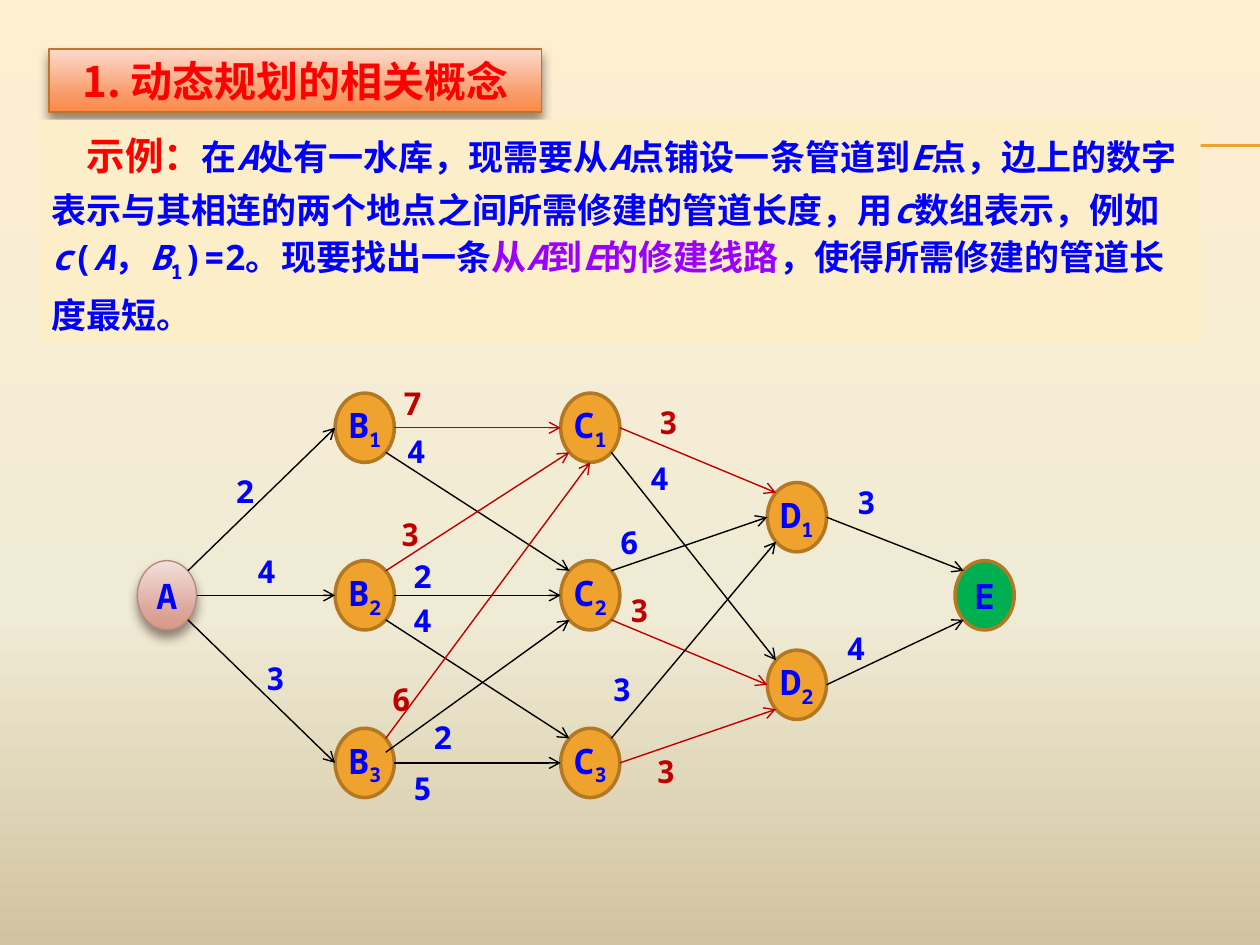
from math import sqrt

from lxml.etree import SubElement
from pptx import Presentation
from pptx.dml.color import RGBColor
from pptx.enum.shapes import MSO_CONNECTOR, MSO_SHAPE
from pptx.enum.text import MSO_ANCHOR, MSO_AUTO_SIZE, PP_ALIGN
from pptx.oxml.ns import qn
from pptx.util import Emu, Pt

SCALE = 9144  # EMU per px, 100 px to the inch

BLACK = RGBColor(0x00, 0x00, 0x00)
BLUE = RGBColor(0x00, 0x00, 0xFF)
RED = RGBColor(0xFF, 0x00, 0x00)
DARK_RED = RGBColor(0xC0, 0x00, 0x00)
PURPLE = RGBColor(0x99, 0x00, 0xFF)
ORANGE = RGBColor(0xF0, 0xA2, 0x2E)
BROWN = RGBColor(0xB2, 0x78, 0x22)
RUST = RGBColor(0xC1, 0x75, 0x29)
ROSE = RGBColor(0xB5, 0x8B, 0x80)
GREEN = RGBColor(0x00, 0xB0, 0x50)
CREAM = RGBColor(0xFB, 0xEE, 0xC9)
SHADOW = RGBColor(0x4E, 0x3B, 0x30)

PAGE_STOPS = [(0, "FFEFD1"), (65, "F0EBD5"), (100, "D1C39F")]
TITLE_STOPS = [(0, "FDDBCC"), (72, "F89B69"), (100, "FC8A43")]
START_STOPS = [(0, "F3E0DB"), (72, "DCA79B"), (100, "D89787")]

NODE_W, NODE_H = 47, 55
COLUMNS = {"A": 109, "B": 266, "C": 445, "D": 609, "E": 758}
ROWS = {"A": [445], "B": [312, 445, 578], "C": [312, 445, 578],
        "D": [383, 516], "E": [445]}
DIAGONAL = sqrt(0.5)
PORTS = {"E": (1, 0), "W": (-1, 0), "S": (0, 1),
         "NE": (DIAGONAL, -DIAGONAL), "NW": (-DIAGONAL, -DIAGONAL),
         "SE": (DIAGONAL, DIAGONAL), "SW": (-DIAGONAL, DIAGONAL)}

# from, port, to, port, length, label left, label top, colour
EDGES = [
    ("A", "NE", "B1", "W", 2, 187, 375, BLUE),
    ("A", "E", "B2", "W", 4, 204, 438, BLUE),
    ("A", "SE", "B3", "W", 3, 211, 523, BLUE),
    ("B1", "E", "C1", "W", 7, 320, 305, DARK_RED),
    ("B1", "SE", "C2", "NW", 4, 323, 343, BLUE),
    ("B2", "NE", "C1", "SW", 3, 318, 409, DARK_RED),
    ("B2", "E", "C2", "W", 2, 328, 442, BLUE),
    ("B2", "SE", "C3", "NW", 4, 328, 477, BLUE),
    ("B3", "NE", "C1", "S", 6, 311, 540, DARK_RED),
    ("B3", "NE", "C2", "SW", 2, 344, 570, BLUE),
    ("B3", "E", "C3", "W", 5, 328, 610, BLUE),
    ("C1", "E", "D1", "NW", 3, 523, 320, DARK_RED),
    ("C1", "SE", "D2", "NW", 4, 516, 364, BLUE),
    ("C2", "NE", "D1", "W", 6, 492, 415, BLUE),
    ("C2", "SE", "D2", "W", 3, 500, 469, DARK_RED),
    ("C3", "NE", "D1", "SW", 3, 486, 532, BLUE),
    ("C3", "E", "D2", "SW", 3, 521, 597, DARK_RED),
    ("D1", "E", "E", "NW", 3, 680, 383, BLUE),
    ("D2", "E", "E", "SW", 4, 672, 499, BLUE),
]
START_DROP = {("B3", "C2"): 11}  # keeps two arrows from sharing a start

# *...* is italic, _..._ is subscript
EXAMPLE = [
    ("示例：", RED, 22),
    ("在*A*处有一水库，现需要从*A*点铺设一条管道到*E*点，边上的数字表示与其相连的"
     "两个地点之间所需修建的管道长度，用*c*数组表示，例如*c*(*A*，*B*_1_)=2。"
     "现要找出一条", BLUE, 20),
    ("从*A*到*E*的修建线路", PURPLE, 20),
    ("，使得所需修建的管道长度最短。", BLUE, 20),
]


def px(length):
    return Emu(round(length * SCALE))


class Slide:
    latin = "Noto Sans Mono"
    asian = "Noto Sans CJK SC"

    def __init__(self, deck):
        self.page = deck.slides.add_slide(deck.slide_layouts[6])

    def gradient(self, fill, owner, stops):
        fill.gradient()
        fill.gradient_angle = 270
        stop_list = next(owner.iter(qn("a:gsLst")))
        for stop in list(stop_list):
            stop_list.remove(stop)
        for position, colour in stops:
            stop = SubElement(stop_list, qn("a:gs"), pos=str(position * 1000))
            SubElement(stop, qn("a:srgbClr"), val=colour)

    def background(self, stops):
        self.gradient(self.page.background.fill, self.page.element, stops)

    def shape(self, kind, left, top, width, height, fill, line=None, weight=0.79):
        """A list as fill means a gradient, drawn with a soft shadow."""
        box = self.page.shapes.add_shape(kind, px(left), px(top), px(width), px(height))
        box.shadow.inherit = False
        if isinstance(fill, list):
            self.gradient(box.fill, box.element, fill)
            self.soft_shadow(box)
        else:
            box.fill.solid()
            box.fill.fore_color.rgb = fill
        if line is None:
            box.line.fill.background()
        else:
            box.line.color.rgb = line
            box.line.width = Pt(weight)
        return box

    def soft_shadow(self, box):
        effects = next(box.element.iter(qn("a:effectLst")))
        shadow = SubElement(effects, qn("a:outerShdw"), blurRad=str(Pt(6)),
                            dist=str(Pt(4)), dir="5400000", rotWithShape="0")
        colour = SubElement(shadow, qn("a:srgbClr"), val=str(SHADOW))
        SubElement(colour, qn("a:alpha"), val="60000")

    def paragraph(self, box, size, colour, align=PP_ALIGN.CENTER, latin=None):
        para = box.text_frame.paragraphs[0]
        para.alignment = align
        para.font.size = Pt(size)
        para.font.bold = True
        para.font.color.rgb = colour
        para.font.name = latin or self.latin
        properties = para._p.pPr.find(qn("a:defRPr"))
        SubElement(properties, qn("a:ea"), typeface=self.asian)
        return para

    def add_spans(self, para, text, colour, size):
        for i, piece in enumerate(text.split("*")):
            for j, part in enumerate(piece.split("_")):
                if not part:
                    continue
                span = para.add_run()
                span.text = part
                span.font.size = Pt(size)
                span.font.color.rgb = colour
                if i % 2:
                    span.font.italic = True
                if j % 2:
                    span.font._element.set("baseline", "-25000")

    def node(self, name, left, top, fill, line, weight):
        box = self.shape(MSO_SHAPE.OVAL, left, top, NODE_W, NODE_H, fill, line, weight)
        frame = box.text_frame
        frame.margin_left = frame.margin_right = 0
        frame.vertical_anchor = MSO_ANCHOR.MIDDLE
        letter, number = name[0], name[1:]
        self.add_spans(self.paragraph(box, 20, BLUE), f"{letter}_{number}_", BLUE, 20)

    def line(self, start, end, colour, weight=0.79, arrow=False):
        line = self.page.shapes.add_connector(
            MSO_CONNECTOR.STRAIGHT, *map(px, start), *map(px, end))
        line.line.color.rgb = colour
        line.line.width = Pt(weight)
        if arrow:
            SubElement(line.line._get_or_add_ln(), qn("a:tailEnd"), type="arrow")
        SubElement(line.element.spPr, qn("a:effectLst"))

    def label(self, text, left, top, colour):
        box = self.page.shapes.add_textbox(px(left), px(top), px(23), px(30))
        frame = box.text_frame
        frame.word_wrap = True
        frame.margin_left = frame.margin_right = frame.margin_top = frame.margin_bottom = 0
        self.paragraph(box, 18, colour, PP_ALIGN.LEFT).add_run().text = text


def main():
    deck = Presentation()
    deck.slide_width, deck.slide_height = px(1000), px(750)
    slide = Slide(deck)
    slide.background(PAGE_STOPS)

    # Double rule and title
    for y in (115, 116):
        slide.line((56, y), (1000, y), ORANGE, 0.75)
    title = slide.shape(MSO_SHAPE.RECTANGLE, 39, 39, 391, 50, TITLE_STOPS, RUST)
    title.text_frame.vertical_anchor = MSO_ANCHOR.TOP
    para = slide.paragraph(title, 24, RED, latin=slide.asian)
    para.add_run().text = "1. 动态规划的相关概念"

    # Nodes of the pipeline network
    looks = {"A": (START_STOPS, ROSE, 0.79), "E": (GREEN, BROWN, 2)}
    centres = {}
    for letter, left in COLUMNS.items():
        for number, top in enumerate(ROWS[letter], 1):
            name = letter if len(ROWS[letter]) == 1 else f"{letter}{number}"
            slide.node(name, left, top, *looks.get(letter, (ORANGE, BROWN, 2)))
            centres[name] = (left + NODE_W / 2, top + NODE_H / 2)

    def port(name, side):
        (x, y), (dx, dy) = centres[name], PORTS[side]
        return x + dx * NODE_W / 2, y + dy * NODE_H / 2

    # Pipes with their lengths
    for source, leave, target, enter, length, left, top, colour in EDGES:
        x, y = port(source, leave)
        start = (x, y + START_DROP.get((source, target), 0))
        line_colour = BLACK if colour == BLUE else colour
        slide.line(start, port(target, enter), line_colour, arrow=True)
        slide.label(str(length), left, top, colour)

    # Worked example
    example = slide.shape(MSO_SHAPE.RECTANGLE, 31, 95, 922, 178, CREAM)
    example.text_frame.auto_size = MSO_AUTO_SIZE.SHAPE_TO_FIT_TEXT
    example.text_frame.vertical_anchor = MSO_ANCHOR.TOP
    para = slide.paragraph(example, 20, BLUE, PP_ALIGN.LEFT)
    para.line_spacing = Pt(30)
    para._p.pPr.set("indent", str(px(28)))
    for text, colour, size in EXAMPLE:
        slide.add_spans(para, text, colour, size)

    deck.save("out.pptx")


if __name__ == "__main__":
    main()
